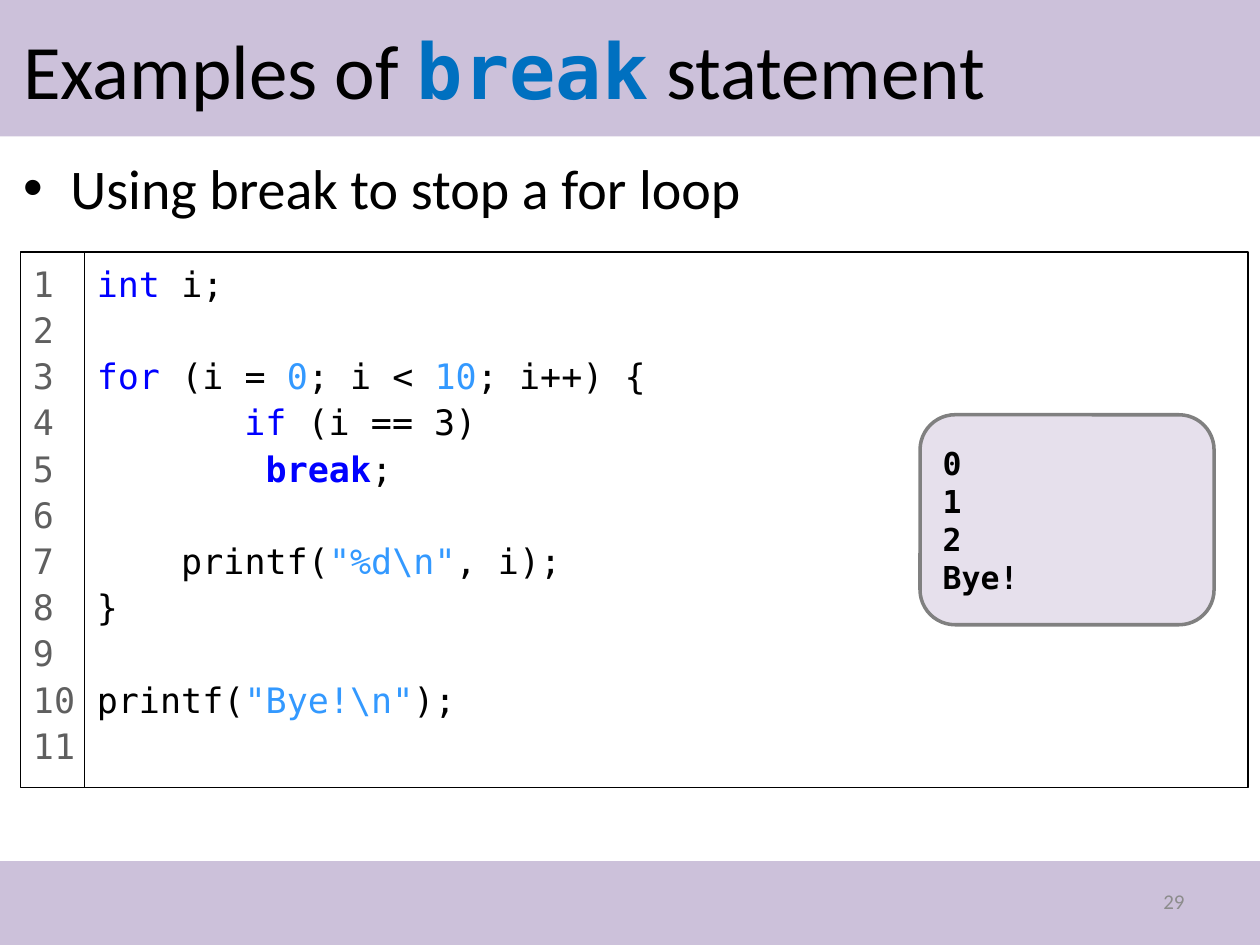
from dataclasses import dataclass

from lxml import etree
from pptx import Presentation
from pptx.enum.shapes import MSO_SHAPE
from pptx.enum.text import MSO_ANCHOR, MSO_AUTO_SIZE, PP_ALIGN
from pptx.dml.color import RGBColor
from pptx.oxml.ns import qn
from pptx.util import Pt

RECT, ROUND = MSO_SHAPE.RECTANGLE, MSO_SHAPE.ROUNDED_RECTANGLE
TOP, MIDDLE = MSO_ANCHOR.TOP, MSO_ANCHOR.MIDDLE
LEFT, RIGHT = PP_ALIGN.LEFT, PP_ALIGN.RIGHT
FIXED = MSO_AUTO_SIZE.NONE

SANS, MONO = "Calibri", "DejaVu Sans Mono"
WIDE, HIGH = 720, 540
TAB = 36
COLORS = {
    "band": "CCC1DA", "panel": "E6E0EC", "edge": "808080",
    "white": "FFFFFF", "black": "000000", "gray": "8C8C8C",
    "number": "5F5F5F", "key": "0000FF", "value": "3399FF",
    "accent": "0070C0",
}


@dataclass
class Box:
    x: float
    y: float
    w: float
    h: float


@dataclass
class Span:
    text: str
    color: str = "black"
    bold: bool = False
    face: str = MONO


def tint(name: str) -> RGBColor:
    return RGBColor.from_string(COLORS[name])


def place(shape, box: Box) -> None:
    shape.left, shape.top = Pt(box.x), Pt(box.y)
    shape.width, shape.height = Pt(box.w), Pt(box.h)


def panel(slide, box: Box, fill: str, line: str = "", width: float = 0.75, kind=RECT):
    shape = slide.shapes.add_shape(kind, Pt(box.x), Pt(box.y), Pt(box.w), Pt(box.h))
    shape.shadow.inherit = False
    shape.fill.solid()
    shape.fill.fore_color.rgb = tint(fill)
    if line:
        shape.line.color.rgb = tint(line)
        shape.line.width = Pt(width)
    else:
        shape.line.fill.background()
    return shape


def write(shape, lines: list[list[Span]], size: float, anchor=TOP,
          align=LEFT, pitch: float = 1.0) -> None:
    frame = shape.text_frame
    frame.word_wrap = True
    frame.auto_size = FIXED
    frame.vertical_anchor = anchor
    for i, line in enumerate(lines):
        para = frame.add_paragraph() if i else frame.paragraphs[0]
        para.alignment = align
        para.line_spacing = pitch
        para.space_before = Pt(0)
        if any("\t" in span.text for span in line):
            stops = etree.SubElement(para._p.get_or_add_pPr(), qn("a:tabLst"))
            etree.SubElement(stops, qn("a:tab"), pos=str(Pt(TAB)), algn="l")
        for span in line:
            run = para.add_run()
            run.text = span.text
            run.font.size = Pt(size)
            run.font.name = span.face
            run.font.bold = span.bold
            run.font.color.rgb = tint(span.color)
        if not line:  # an empty code line keeps the code's height
            end = etree.SubElement(para._p, qn("a:endParaRPr"), sz=str(int(size * 100)))
            etree.SubElement(end, qn("a:latin"), typeface=MONO)


CODE = [
    [Span("int ", "key"), Span("i;")],
    [],
    [Span("for ", "key"), Span("(i = "), Span("0", "value"), Span("; i < "),
     Span("10", "value"), Span("; i++) {")],
    [Span("\t    "), Span("if", "key"), Span(" (i == 3)")],
    [Span("        "), Span("break", "key", True), Span(";")],
    [],
    [Span("    printf("), Span('"%d\\n"', "value"), Span(", i);")],
    [Span("}")],
    [],
    [Span("printf("), Span('"Bye!\\n"', "value"), Span(");")],
]


def main() -> None:
    deck = Presentation()
    deck.slide_width, deck.slide_height = Pt(WIDE), Pt(HIGH)
    slide = deck.slides.add_slide(deck.slide_layouts[1])

    # Bands, kept behind the placeholders
    for i, (y, h) in enumerate([(0, 78), (492, 48)]):
        band = panel(slide, Box(0, y, WIDE, h), "band")
        slide.shapes._spTree.insert(2 + i, band._element)

    # Title and bullet
    title, body = slide.placeholders
    place(title, Box(6, 6, 648, 66))
    write(title, [[Span("Examples of ", face=SANS), Span("break", "accent", True),
                   Span(" statement", face=SANS)]], 44, MIDDLE)
    place(body, Box(6, 84, 703.5, 402))
    write(body, [[Span("Using break to stop a for loop", face=SANS)]], 32)

    # Page number
    page = slide.shapes.add_textbox(Pt(516), Pt(500.5), Pt(168), Pt(28.75))
    write(page, [[Span("29", "gray", face=SANS)]], 12, MIDDLE, RIGHT)

    # Code listing with its line numbers
    gutter = panel(slide, Box(11.75, 144, 36.5, 306), "white", "black")
    gutter.text_frame.margin_right = 0
    write(gutter, [[Span(str(n), "number")] for n in range(1, 12)], 20, pitch=1.1)
    code = panel(slide, Box(48.25, 144, 665, 306), "white", "black")
    write(code, CODE, 20, pitch=1.1)

    # Program output
    out = panel(slide, Box(525.75, 237, 168, 120), "panel", "edge", 2, ROUND)
    write(out, [[Span(text, bold=True)] for text in ("0", "1", "2", "Bye!")], 18, MIDDLE)

    deck.save("out.pptx")


if __name__ == "__main__":
    main()
